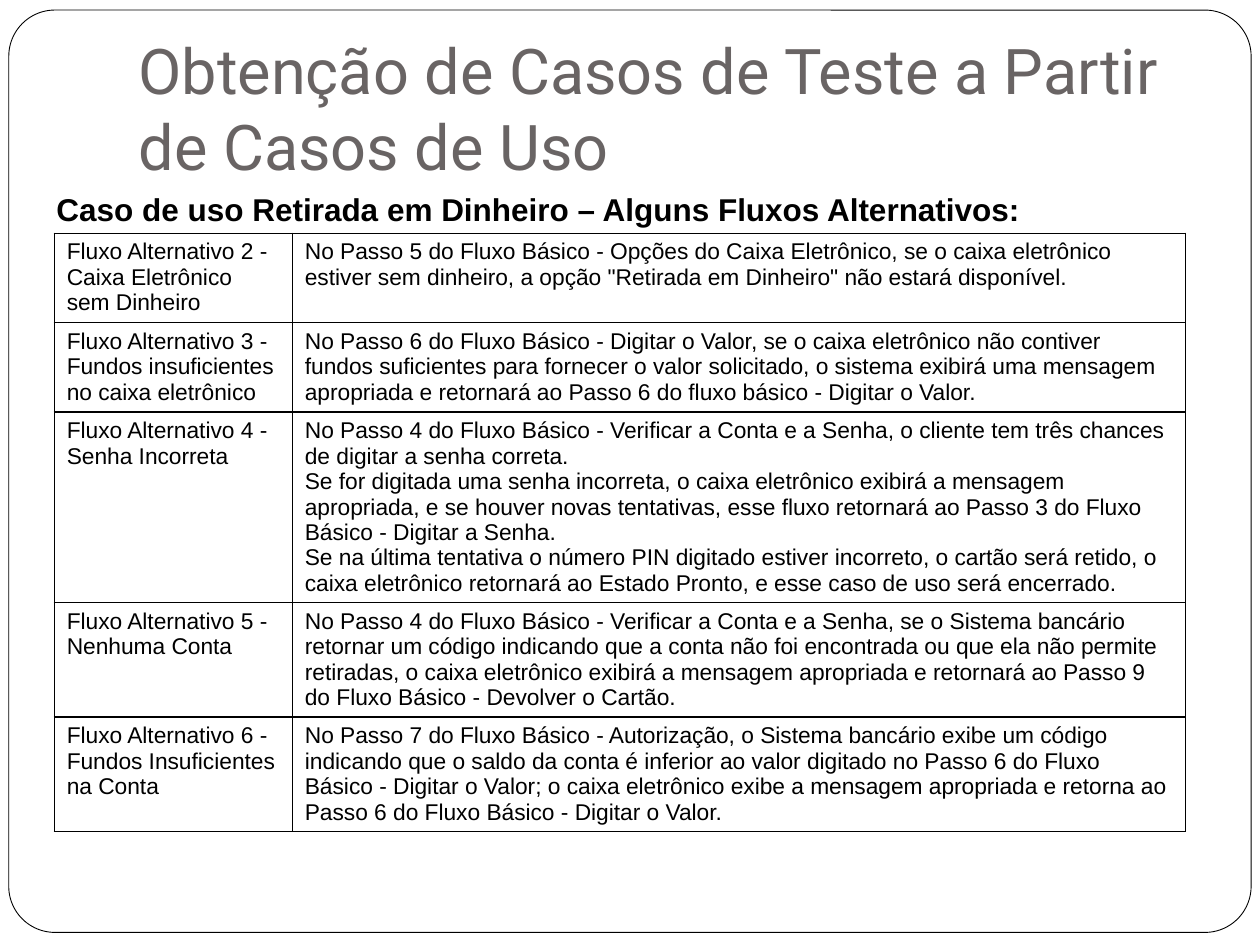
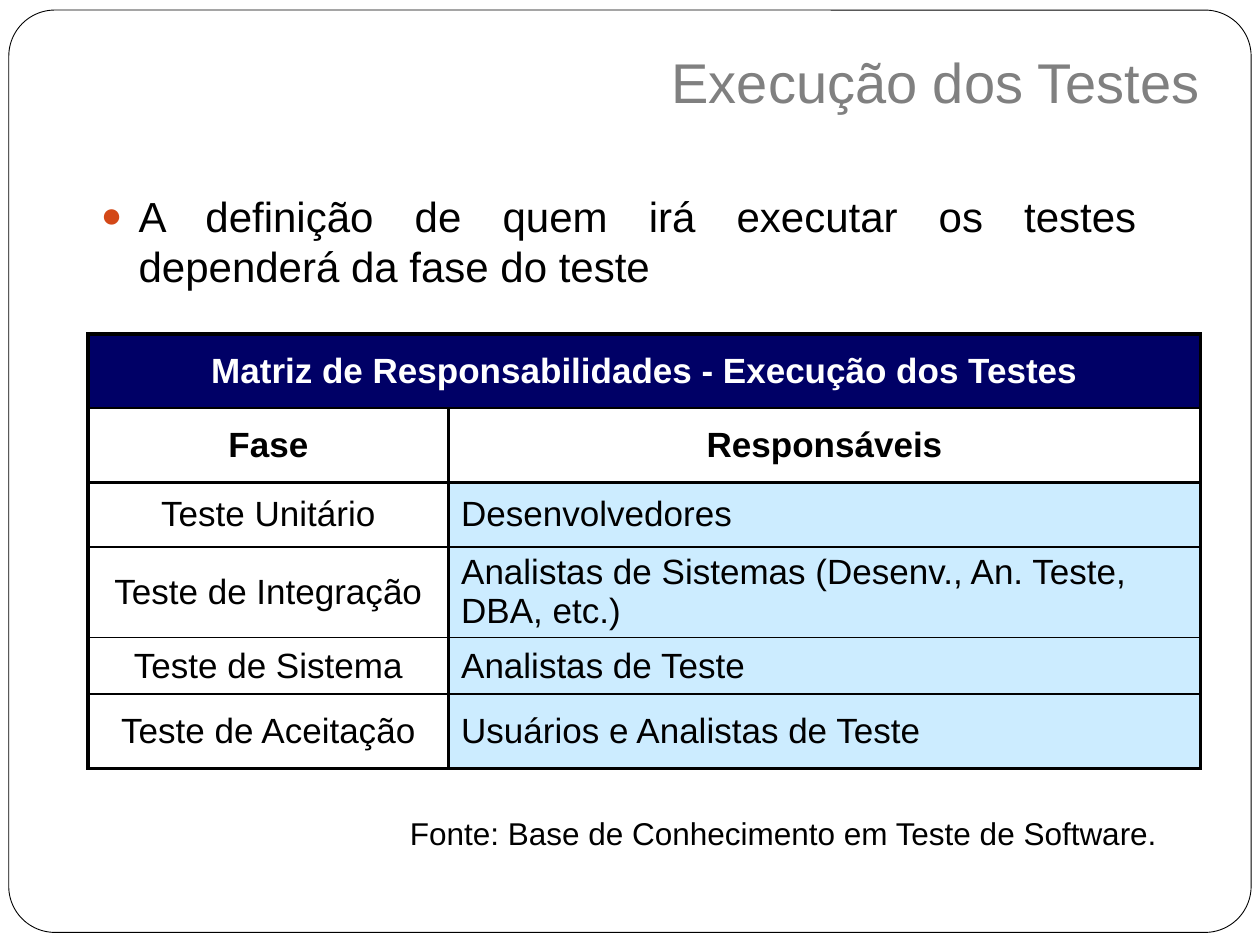
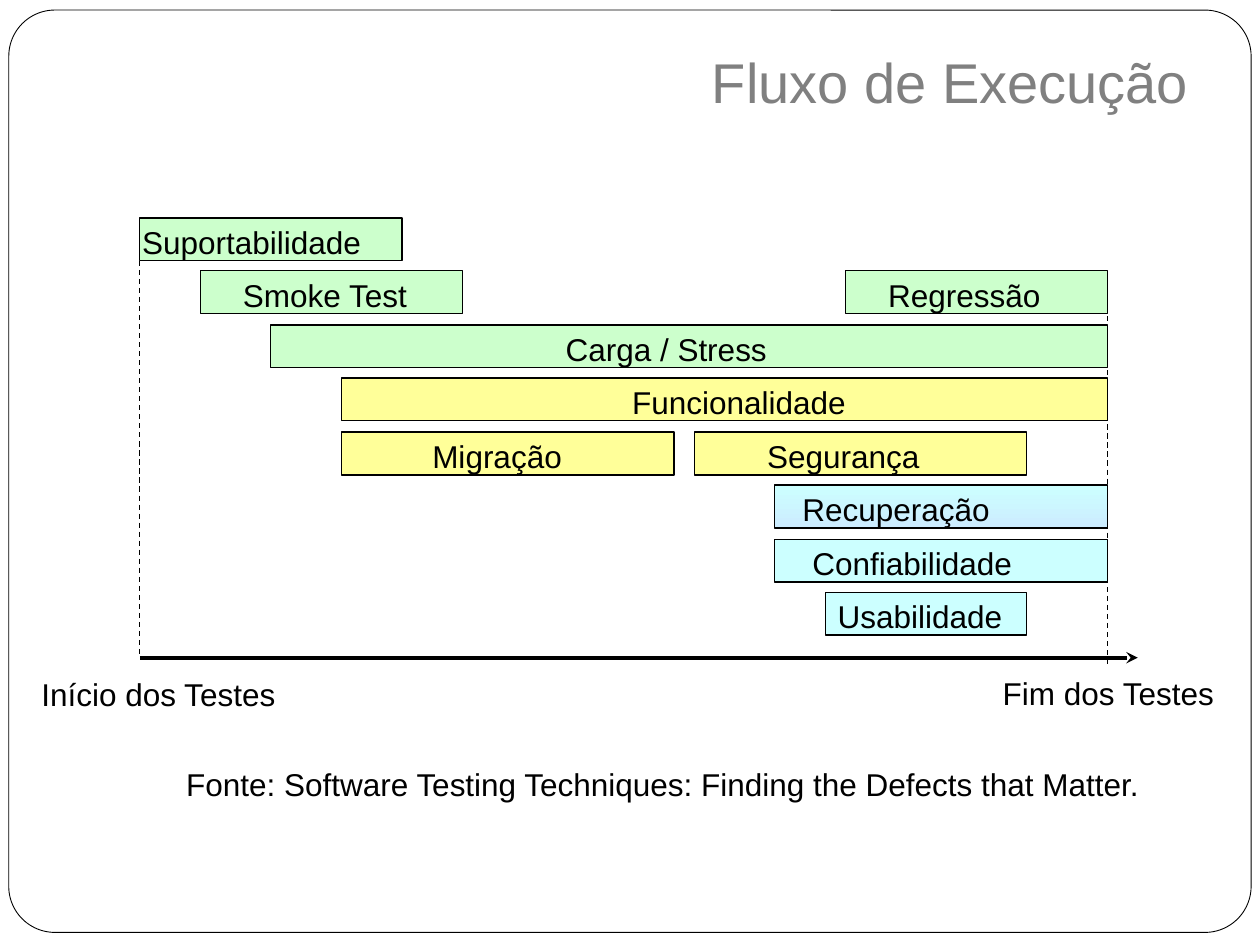
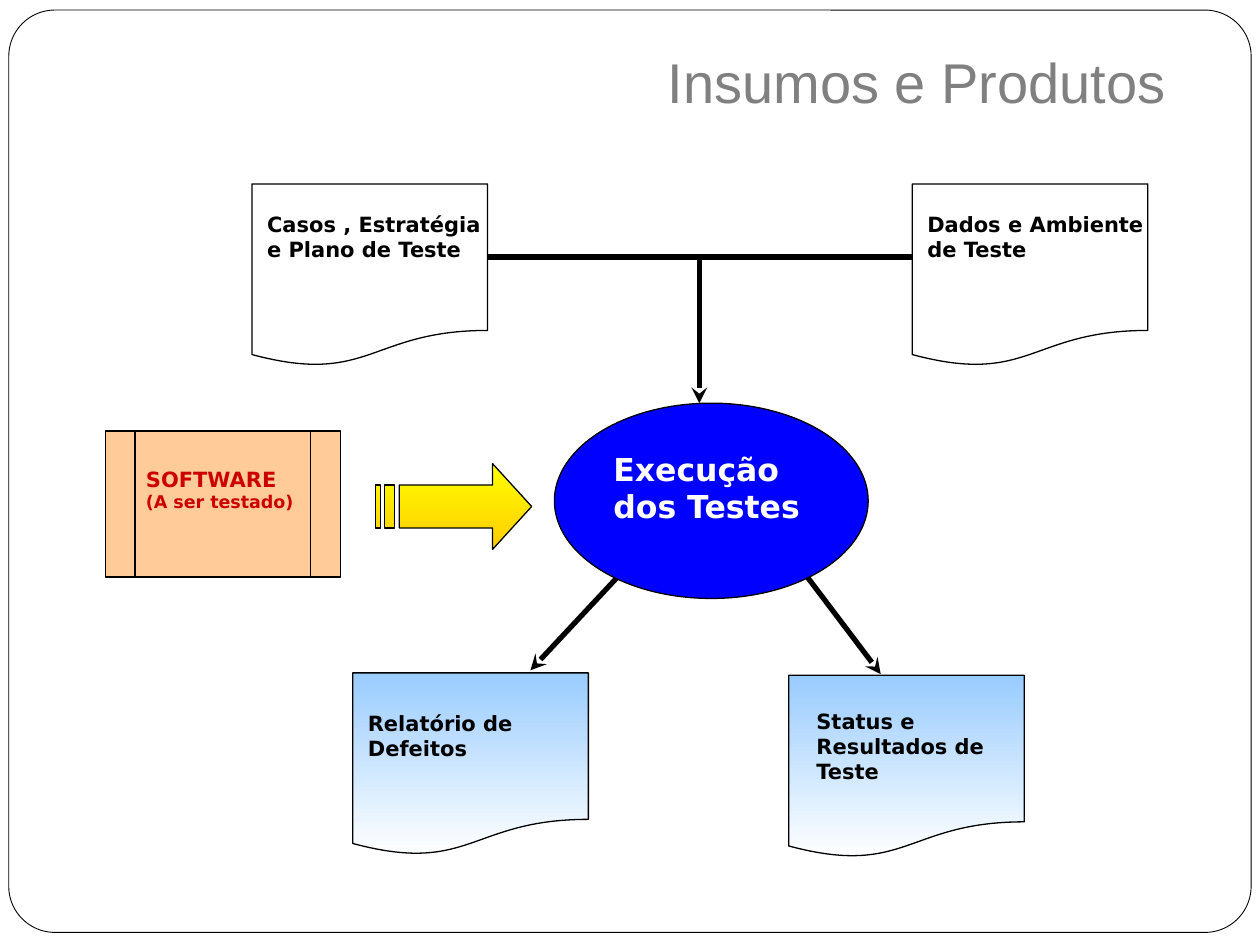
from dataclasses import dataclass

from lxml.etree import SubElement
from pptx import Presentation
from pptx.dml.color import RGBColor
from pptx.enum.dml import MSO_LINE
from pptx.enum.shapes import MSO_CONNECTOR, MSO_SHAPE
from pptx.enum.text import MSO_ANCHOR, MSO_AUTO_SIZE, PP_ALIGN
from pptx.oxml import parse_xml
from pptx.oxml.ns import nsdecls, qn
from pptx.util import Emu, Pt

EMU_PER_PX = 9144


@dataclass(frozen=True)
class Type:
    font: str
    size: int
    color: str
    bold: bool = False


@dataclass(frozen=True)
class Theme:
    black: str = "000000"
    white: str = "FFFFFF"
    orange: str = "D34817"
    navy: str = "000066"
    ice: str = "CCECFF"
    aqua: str = "CCFFFF"
    green: str = "CCFFCC"
    lemon: str = "FFFF99"
    blue: str = "0000FF"
    peach: str = "FFCC99"
    sky: str = "99CCFF"
    yellow: str = "FFFF00"
    gold: str = "FFCC00"
    wide_title: Type = Type("Roboto", 36, "696464")
    title: Type = Type("Arial", 32, "808080")
    body: Type = Type("Arial", 24, "000000")
    label: Type = Type("Arial", 18, "000000")
    caption: Type = Type("Arial", 18, "000000", True)
    flow_cell: Type = Type("Arial", 13, "000000")
    cell: Type = Type("Arial", 20, "000000")
    header: Type = Type("Arial", 20, "000000", True)
    banner: Type = Type("Arial", 20, "FFFFFF", True)
    process: Type = Type("DejaVu Sans", 18, "FFFFFF", True)
    note: Type = Type("DejaVu Sans", 12, "000000", True)
    software: Type = Type("DejaVu Sans", 12, "CC0000", True)
    software_detail: Type = Type("DejaVu Sans", 10, "CC0000", True)


THEME = Theme()

FLOWS = [
    ("Fluxo Alternativo 2 - Caixa Eletrônico sem Dinheiro",
     'No Passo 5 do Fluxo Básico - Opções do Caixa Eletrônico, se o caixa eletrônico estiver sem '
     'dinheiro, a opção "Retirada em Dinheiro" não estará disponível.'),
    ("Fluxo Alternativo 3 - Fundos insuficientes no caixa eletrônico",
     "No Passo 6 do Fluxo Básico - Digitar o Valor, se o caixa eletrônico não contiver fundos "
     "suficientes para fornecer o valor solicitado, o sistema exibirá uma mensagem apropriada e "
     "retornará ao Passo 6 do fluxo básico - Digitar o Valor."),
    ("Fluxo Alternativo 4 - Senha Incorreta",
     "No Passo 4 do Fluxo Básico - Verificar a Conta e a Senha, o cliente tem três chances de "
     "digitar a senha correta.\v"
     "Se for digitada uma senha incorreta, o caixa eletrônico exibirá a mensagem apropriada, e se "
     "houver novas tentativas, esse fluxo retornará ao Passo 3 do Fluxo Básico - Digitar a Senha.\v"
     "Se na última tentativa o número PIN digitado estiver incorreto, o cartão será retido, o caixa "
     "eletrônico retornará ao Estado Pronto, e esse caso de uso será encerrado."),
    ("Fluxo Alternativo 5 - Nenhuma Conta",
     "No Passo 4 do Fluxo Básico - Verificar a Conta e a Senha, se o Sistema bancário retornar um "
     "código indicando que a conta não foi encontrada ou que ela não permite retiradas, o caixa "
     "eletrônico exibirá a mensagem apropriada e retornará ao Passo 9 do Fluxo Básico - Devolver o "
     "Cartão."),
    ("Fluxo Alternativo 6 - Fundos Insuficientes na Conta",
     "No Passo 7 do Fluxo Básico - Autorização, o Sistema bancário exibe um código indicando que o "
     "saldo da conta é inferior ao valor digitado no Passo 6 do Fluxo Básico - Digitar o Valor; o "
     "caixa eletrônico exibe a mensagem apropriada e retorna ao Passo 6 do Fluxo Básico - Digitar o "
     "Valor."),
]

RESPONSIBILITIES = [
    ("Matriz de Responsabilidades - Execução dos Testes", ""),
    ("Fase", "Responsáveis"),
    ("Teste Unitário", "Desenvolvedores"),
    ("Teste de Integração", "Analistas de Sistemas (Desenv., An. Teste, DBA, etc.)"),
    ("Teste de Sistema", "Analistas de Teste"),
    ("Teste de Aceitação", "Usuários e Analistas de Teste"),
]

LEFT, CENTER = PP_ALIGN.LEFT, PP_ALIGN.CENTER

TEST_BARS = [
    ("Suportabilidade", 0, (0, 208), (-8, 214), LEFT, [THEME.green]),
    ("Smoke Test", 1, (48, 208), (72, 168), LEFT, [THEME.green]),
    ("Regressão", 1, (560, 208), (584, 168), LEFT, [THEME.green]),
    ("Carga / Stress", 2, (104, 664), (328, 291), LEFT, [THEME.green]),
    ("Funcionalidade", 3, (160, 608), (174, 603), CENTER, [THEME.lemon]),
    ("Migração", 4, (160, 264), (119, 329), CENTER, [THEME.lemon]),
    ("Segurança", 4, (440, 264), (488, 168), LEFT, [THEME.lemon]),
    ("Recuperação", 5, (504, 264), (516, 204), LEFT, [THEME.aqua, THEME.ice]),
    ("Confiabilidade", 6, (504, 264), (524, 204), LEFT, [THEME.aqua]),
    ("Usabilidade", 7, (544, 160), (544, 168), LEFT, [THEME.aqua]),
]


def px(length):
    return Emu(length * EMU_PER_PX)


def rgb(color):
    return RGBColor.from_string(color)


def place(shape, box):
    shape.left, shape.top, shape.width, shape.height = map(px, box)


def style(para, kind, align=LEFT):
    para.alignment = align
    para.font.name = kind.font
    para.font.size = Pt(kind.size)
    para.font.bold = kind.bold
    para.font.color.rgb = rgb(kind.color)


def add_text(page, box, lines, kinds, align=LEFT, wrap=True, indent=10, drop=5):
    area = page.shapes.add_textbox(*map(px, box))
    frame = area.text_frame
    frame.word_wrap = wrap
    frame.margin_left, frame.margin_top = px(indent), px(drop)
    frame.text = "\n".join(lines)
    for para, kind in zip(frame.paragraphs, kinds):
        style(para, kind, align)


def add_title(page, text, box, kind=THEME.title):
    title = page.shapes.title
    place(title, box)
    frame = title.text_frame
    frame.text = text
    frame.auto_size = MSO_AUTO_SIZE.NONE
    frame.vertical_anchor = MSO_ANCHOR.BOTTOM
    frame.margin_bottom = px(10)
    style(frame.paragraphs[0], kind)


def paint(shape, colors, weight=0.75):
    shape.shadow.inherit = False
    if len(colors) == 1:
        shape.fill.solid()
        shape.fill.fore_color.rgb = rgb(colors[0])
    else:
        shape.fill.gradient()
        shape.fill.gradient_angle = 270
        for stop, color in zip(shape.fill.gradient_stops, colors):
            stop.color.rgb = rgb(color)
    shape.line.color.rgb = rgb(THEME.black)
    shape.line.width = Pt(weight)


def add_block(page, preset, box, *colors):
    block = page.shapes.add_shape(preset, *map(px, box))
    paint(block, colors)
    return block


def add_line(page, start, end, weight, arrow=False, dashed=False):
    link = page.shapes.add_connector(MSO_CONNECTOR.STRAIGHT, *map(px, (*start, *end)))
    link.line.color.rgb = rgb(THEME.black)
    link.line.width = Pt(weight)
    if dashed:
        link.line.dash_style = MSO_LINE.DASH
    properties = link.element.spPr
    if arrow:
        SubElement(properties.find(qn("a:ln")), qn("a:tailEnd"), type="stealth")
    SubElement(properties, qn("a:effectLst"))


def set_borders(cell, weights):
    properties = cell._tc.get_or_add_tcPr()
    for index, (side, weight) in enumerate(zip("LRTB", weights)):
        properties.insert(index, parse_xml(
            f'<a:ln{side} {nsdecls("a")} w="{Pt(weight)}"><a:solidFill>'
            f'<a:srgbClr val="{THEME.black}"/></a:solidFill></a:ln{side}>'))


def add_grid(page, origin, widths, heights, texts, kind, side, rules):
    frame = page.shapes.add_table(len(heights), len(widths),
                                  *map(px, (*origin, sum(widths), sum(heights))))
    table = frame.table
    table.first_row = table.horz_banding = False
    for column, width in zip(table.columns, widths):
        column.width = px(width)
    for index, (row, height, line) in enumerate(zip(table.rows, heights, texts)):
        row.height = px(height)
        for cell, text in zip(row.cells, line):
            cell.text = text
            cell.fill.background()
            style(cell.text_frame.paragraphs[0], kind)
            set_borders(cell, (side, side, rules[index], rules[index + 1]))
    return table


def add_bullet(para):
    properties = para._p.get_or_add_pPr()
    properties.set("marL", str(px(30)))
    properties.set("indent", str(px(-30)))
    color = SubElement(properties, qn("a:buClr"))
    SubElement(color, qn("a:srgbClr"), val=THEME.orange)
    SubElement(properties, qn("a:buSzPct"), val="85000")
    SubElement(properties, qn("a:buFont"), typeface=THEME.body.font)
    SubElement(properties, qn("a:buChar"), char="●")


def add_page(deck, layout="Title Only"):
    return deck.slides.add_slide(deck.slide_layouts.get_by_name(layout))


def frame_master(deck, page):
    border = add_block(page, MSO_SHAPE.ROUNDED_RECTANGLE, (7, 8, 986, 732), THEME.white)
    border.adjustments[0] = 0.05
    border.line.width = Pt(0.5)
    deck.slide_master.shapes.element.insert(2, border.element)


def build_alternative_flows(page):
    add_title(page, "Obtenção de Casos de Teste a Partir de Casos de Uso",
              (100, 30, 850, 125), THEME.wide_title)
    add_grid(page, (43, 185), (189, 709), (71, 71, 151, 91, 91), FLOWS,
             THEME.flow_cell, 0.75, [0.75] * 6)
    add_text(page, (35, 146, 787, 40),
             ["Caso de uso Retirada em Dinheiro – Alguns Fluxos Alternativos:"],
             [THEME.caption], wrap=False)


def add_matrix(page, origin):
    table = add_grid(page, origin, (286, 597), (59, 59, 51, 72, 45, 59), RESPONSIBILITIES,
                     THEME.cell, 2.25, (2.25, 1, 2.25, 1, 1, 1, 2.25))
    table.cell(0, 0).merge(table.cell(0, 1))
    for index, row in enumerate(table.rows):
        for column, cell in enumerate(row.cells):
            cell.vertical_anchor = MSO_ANCHOR.MIDDLE
            heading = index < 2
            kind = (THEME.banner, THEME.header)[index] if heading else THEME.cell
            align = CENTER if heading or column == 0 else LEFT
            style(cell.text_frame.paragraphs[0], kind, align)
            if heading or column == 1:
                cell.fill.solid()
                cell.fill.fore_color.rgb = rgb((THEME.navy, THEME.white)[index]
                                               if heading else THEME.ice)


def build_execution(page):
    add_title(page, "Execução dos Testes", (523, 24, 445, 77))
    body = page.placeholders[1]
    place(body, (70, 146, 842, 96))
    body.text_frame.text = "A definição de quem irá executar os testes dependerá da fase do teste"
    body.text_frame.auto_size = MSO_AUTO_SIZE.NONE
    para = body.text_frame.paragraphs[0]
    add_bullet(para)
    para.space_before = Pt(0)
    style(para, THEME.body, PP_ALIGN.JUSTIFY)
    add_matrix(page, (70, 265))
    add_text(page, (227, 641, 701, 33), ["Fonte: Base de Conhecimento em Teste de Software."],
             [THEME.label], PP_ALIGN.RIGHT)


def add_timeline(page, box):
    left, top, width, height = box
    bottom, finish = top + height, left + 768
    row_tops = [top + 85 * row // 2 for row in range(8)]
    add_line(page, (left, bottom), (left + width, bottom), 2.25, arrow=True)
    for _, row, (offset, length), _, _, colors in TEST_BARS:
        add_block(page, MSO_SHAPE.RECTANGLE, (left + offset, row_tops[row], length, 34), *colors)
    add_line(page, (left, top + 34), (left, bottom), 0.75, dashed=True)
    add_line(page, (finish, row_tops[1]), (finish, bottom + 8), 0.75, dashed=True)
    for label, row, _, (offset, length), align, _ in TEST_BARS:
        add_text(page, (left + offset, row_tops[row] - 1, length, 44), [label],
                 [THEME.label], align)
    add_text(page, (left - 88, bottom + 9, 270, 44), ["Início dos Testes"], [THEME.label])
    add_text(page, (left + 675, bottom + 8, 214, 44), ["Fim dos Testes"], [THEME.label])


def build_flow(page):
    add_title(page, "Fluxo de Execução", (555, 24, 414, 77))
    add_text(page, (125, 602, 789, 41),
             ["Fonte: Software Testing Techniques: Finding the Defects that Matter."],
             [THEME.label], PP_ALIGN.RIGHT)
    add_timeline(page, (111, 173, 792, 349))


def add_document(page, origin, text_box, lines, *colors):
    left, top = origin
    add_block(page, MSO_SHAPE.FLOWCHART_DOCUMENT, (left, top, 187, 145), *colors)
    shift, drop, height = text_box
    add_text(page, (left + shift, top + drop, 240, height), lines,
             [THEME.note] * len(lines), indent=48, drop=13)


def add_striped_arrow(page, origin):
    contours = [
        [(93, 0), (93, 17), (19, 17), (19, 51), (93, 51), (93, 68), (124, 34)],
        [(7, 17), (7, 51), (15, 51), (15, 17)],
        [(0, 17), (0, 51), (4, 51), (4, 17)],
    ]
    builder = page.shapes.build_freeform(*contours[0][0], scale=EMU_PER_PX)
    for index, (start, *points) in enumerate(contours):
        if index:
            builder.move_to(*start)
        builder.add_line_segments(points, close=True)
    paint(builder.convert_to_shape(*map(px, origin)), (THEME.yellow, THEME.gold))


def add_software(page, box):
    left, top, width, height = box
    add_block(page, MSO_SHAPE.FLOWCHART_PREDEFINED_PROCESS, box, THEME.peach)
    add_text(page, (left + 22, top + 23, 179, 47), ["SOFTWARE", "(A ser testado)"],
             [THEME.software, THEME.software_detail])


def add_process(page, box):
    left, top, width, height = box
    add_block(page, MSO_SHAPE.OVAL, box, THEME.blue)
    add_text(page, (left + 37, top + 32, 213, 84), ["Execução", "dos Testes"],
             [THEME.process] * 2)


def build_inputs_outputs(page):
    add_title(page, "Insumos e Produtos", (520, 24, 449, 77))
    add_line(page, (520, 426), (421, 532), 3, arrow=True)
    add_line(page, (609, 416), (699, 535), 3, arrow=True)
    add_process(page, (440, 320, 249, 155))
    add_software(page, (84, 342, 186, 116))
    add_document(page, (280, 534), (-36, 17, 65), ["Relatório de Defeitos"],
                 THEME.sky, THEME.white)
    add_document(page, (626, 536), (-26, 13, 90), ["Status e Resultados de Teste"],
                 THEME.sky, THEME.white)
    add_document(page, (200, 146), (-36, 9, 61), ["Casos , Estratégia", "e Plano de Teste"],
                 THEME.white)
    add_document(page, (724, 146), (-36, 9, 61), ["Dados e Ambiente de Teste"], THEME.white)
    add_striped_arrow(page, (298, 368))
    add_line(page, (387, 204), (724, 204), 3)
    add_line(page, (555, 204), (555, 320), 3, arrow=True)


def main():
    deck = Presentation()
    deck.slide_width, deck.slide_height = px(1000), px(750)
    first = add_page(deck)
    frame_master(deck, first)
    build_alternative_flows(first)
    build_execution(add_page(deck, "Title and Content"))
    build_flow(add_page(deck))
    build_inputs_outputs(add_page(deck))
    deck.save("out.pptx")


if __name__ == "__main__":
    main()
